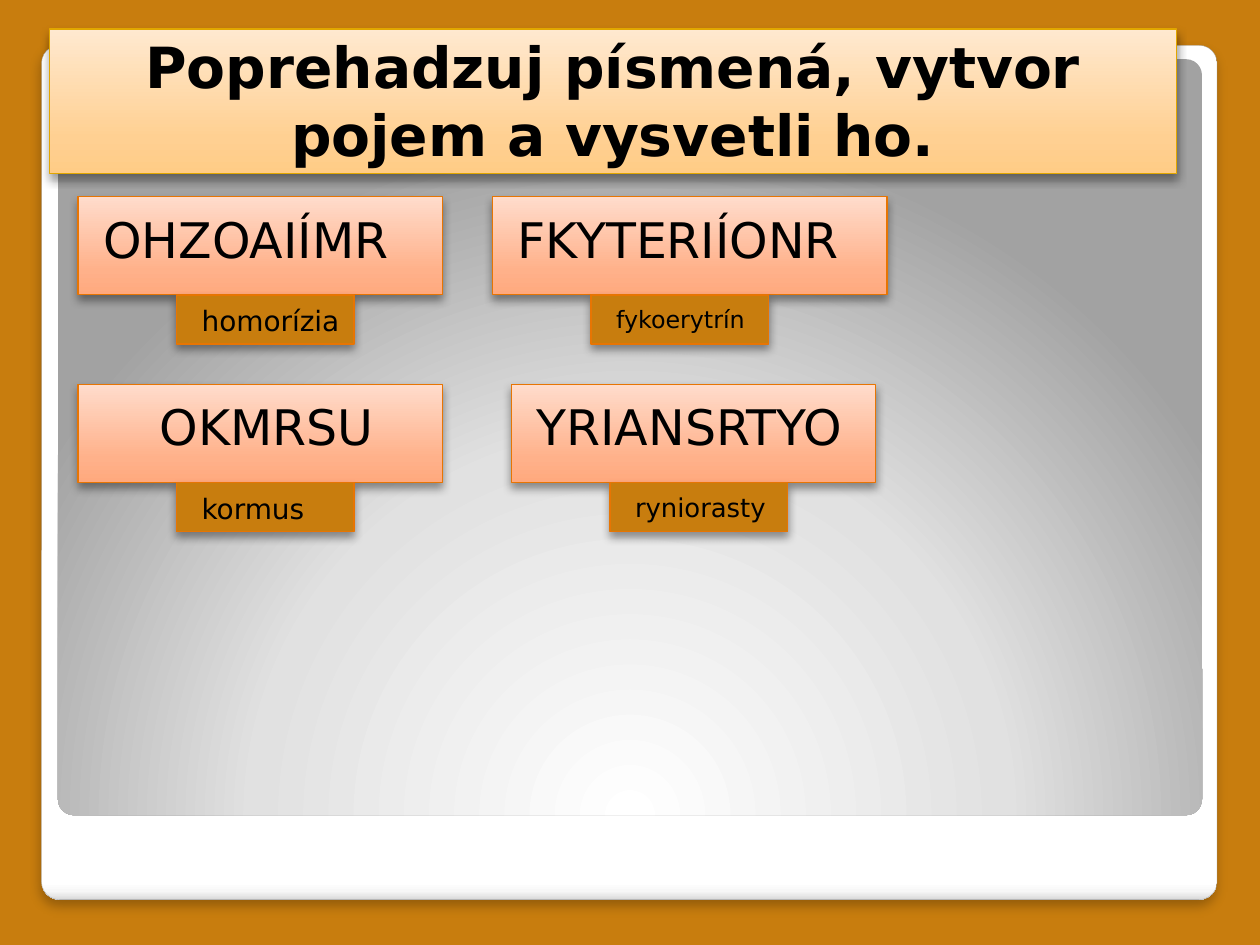
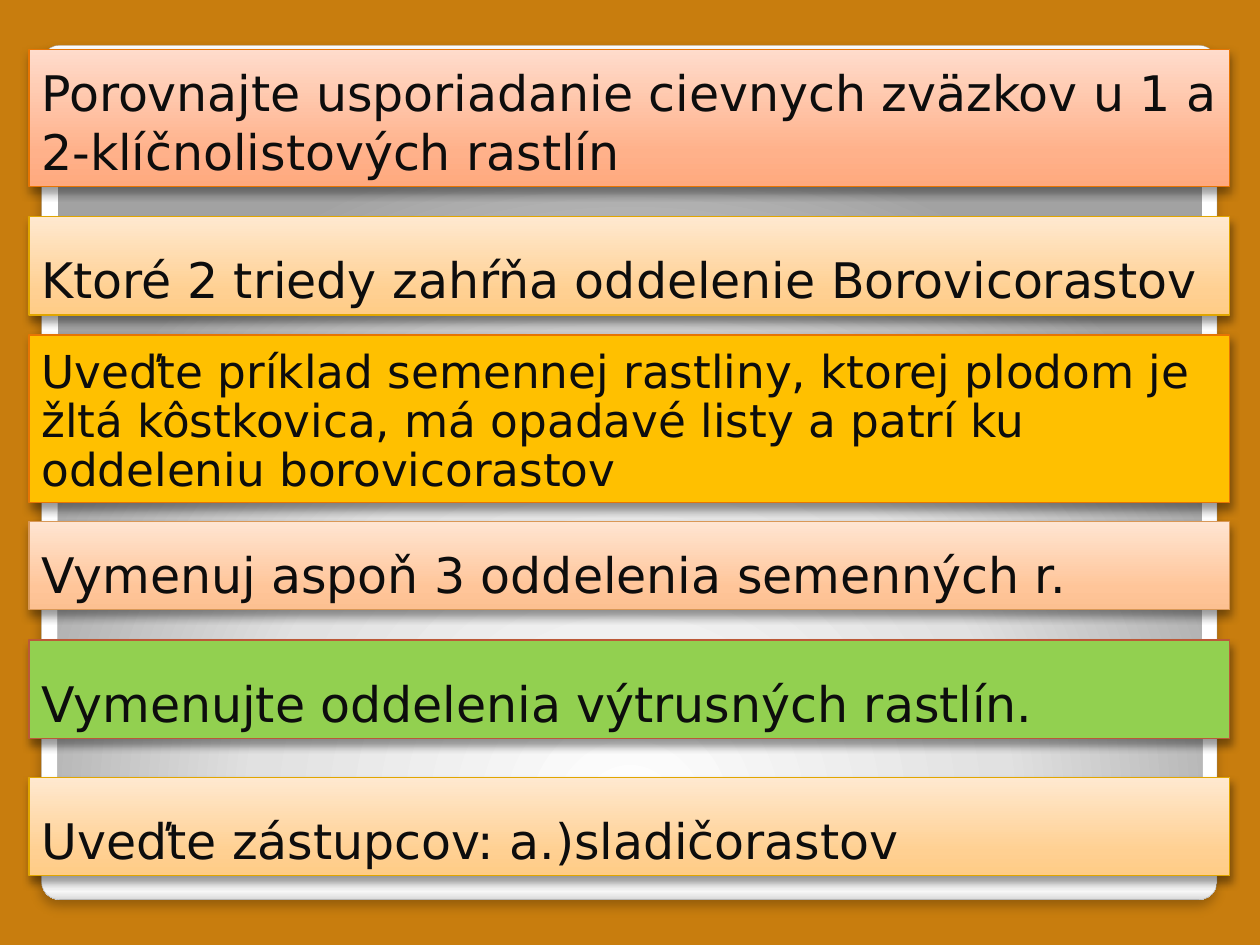
import lxml.etree
import pptx
import pptx.dml.color
import pptx.enum.shapes
import pptx.enum.text
import pptx.oxml.ns
import pptx.util

Inches = pptx.util.Inches
Pt = pptx.util.Pt
qn = pptx.oxml.ns.qn
SHAPE = pptx.enum.shapes.MSO_SHAPE
ANCHOR = pptx.enum.text.MSO_ANCHOR
ALIGN = pptx.enum.text.PP_ALIGN

OCHRE = "C87D0E"
ORANGE = "E77503"
GOLD = "E1A600"
BLACK = "000000"
INK = "0D0D0D"
AMBER_FADE = [(0, "FFCC86"), (25, "FFD092"), (100, "FFE9D0")]
CORAL_FADE = [(0, "FFA97E"), (25, "FFB18A"), (100, "FFDCCC")]
PEACH_FADE = [(0, "FCC091"), (25, "FFC599"), (100, "FFE5D2")]
FRAME_FADE = [(0, "FFFFFF"), (98, "FFFFFF"), (99, "F7F7F7"), (100, "DADADA")]
GLOW_FADE = [(0, "FFFFFF"), (55, "E1E1E1"), (100, "A2A2A2")]
GLOW_CENTRE = {"l": 50, "t": 175, "r": 50, "b": -75}
BOX_SHADOW = (40, 5.2, 3)
FRAME_SHADOW = (25, 6, 4)
CARD_INSETS = (0.2, 0.1, 0.1, 0.05)
BAND_INSETS = (0.1, 0.05, 0.1, 0.05)

CARD_HEIGHT = 0.78
ANSWER_INDENT = 0.78
ANSWER_SIZE = (1.41, 0.39)
CARDS = [
    (0.62, 1.56, 2.89, "OHZOAIÍMR", ALIGN.LEFT, "homorízia", 16),
    (3.91, 1.56, 3.13, "FKYTERIÍONR", ALIGN.LEFT, "fykoerytrín", 13.6),
    (0.62, 3.05, 2.89, "OKMRSU", ALIGN.CENTER, "kormus", 16),
    (4.06, 3.05, 2.89, "YRIANSRTYO", ALIGN.LEFT, "ryniorasty", 14.8),
]
QUESTIONS = [
    (0.39, 1.09, CORAL_FADE, ORANGE, 28, 1,
     "Porovnajte usporiadanie cievnych zväzkov u 1 a 2-klíčnolistových rastlín"),
    (1.72, 0.78, AMBER_FADE, GOLD, 28, 1,
     "Ktoré 2 triedy zahŕňa oddelenie Borovicorastov"),
    (2.66, 1.33, "FFC000", ORANGE, 25.9, 0.9,
     "Uveďte príklad semennej rastliny, ktorej plodom je žltá kôstkovica, "
     "má opadavé listy a patrí ku oddeleniu borovicorastov"),
    (4.14, 0.7, PEACH_FADE, "D99857", 28, 1,
     "Vymenuj aspoň 3 oddelenia semenných r."),
    (5.08, 0.78, "92D050", "BB5938", 28, 1,
     "Vymenujte oddelenia výtrusných rastlín."),
    (6.17, 0.78, AMBER_FADE, GOLD, 28, 1,
     "Uveďte zástupcov: a.)sladičorastov"),
]


def rgb(value):
    return pptx.dml.color.RGBColor.from_string(value)


def add_xml(parent, tag, **attrs):
    values = {key: str(value) for key, value in attrs.items()}
    return lxml.etree.SubElement(parent, qn(tag), values)


def set_all(target, values):
    for key, value in values.items():
        setattr(target, key, value)


class Deck:
    font = "DejaVu Sans"

    def __init__(self):
        self.prs = pptx.Presentation()
        self.prs.slide_width = Inches(10)
        self.prs.slide_height = Inches(7.5)

    def new_slide(self):
        self.s = self.prs.slides.add_slide(self.prs.slide_layouts[6])
        fill = self.s.background.fill
        fill.solid()
        fill.fore_color.rgb = rgb(OCHRE)
        self.panel((0.33, 0.36, 9.33, 6.78), FRAME_FADE, "A4A4A4", 0.16, FRAME_SHADOW, angle=90)
        self.panel((0.46, 0.47, 9.08, 6), GLOW_FADE, centre=GLOW_CENTRE)

    def gradient(self, sp, stops, angle, centre):
        sp.fill.gradient()
        grad = sp._element.spPr.find(qn("a:gradFill"))
        for child in list(grad):
            grad.remove(child)
        stop_list = add_xml(grad, "a:gsLst")
        for position, colour in stops:
            stop = add_xml(stop_list, "a:gs", pos=position * 1000)
            add_xml(stop, "a:srgbClr", val=colour)
        if centre:
            circle = add_xml(grad, "a:path", path="circle")
            sides = {side: share * 1000 for side, share in centre.items()}
            add_xml(circle, "a:fillToRect", **sides)
        else:
            add_xml(grad, "a:lin", ang=angle * 60000, scaled=0)

    def drop_shadow(self, sp, opacity, blur, distance):
        effects = sp._element.spPr.find(qn("a:effectLst"))
        outer = add_xml(effects, "a:outerShdw", blurRad=Pt(blur), dist=Pt(distance),
                        dir=90 * 60000, algn="t", rotWithShape=0)
        colour = add_xml(outer, "a:srgbClr", val=BLACK)
        add_xml(colour, "a:alpha", val=opacity * 1000)

    def shape(self, kind, place, fill, line=None, width=0.75, shadow=None, angle=270, centre=None):
        sp = self.s.shapes.add_shape(kind, *map(Inches, place))
        if isinstance(fill, str):
            sp.fill.solid()
            sp.fill.fore_color.rgb = rgb(fill)
        else:
            self.gradient(sp, fill, angle, centre)
        if line:
            sp.line.color.rgb = rgb(line)
            sp.line.width = Pt(width)
        else:
            sp.line.fill.background()
        sp.shadow.inherit = False
        if shadow:
            self.drop_shadow(sp, *shadow)
        return sp

    def panel(self, place, fill, *style, **options):
        sp = self.shape(SHAPE.ROUNDED_RECTANGLE, place, fill, *style, **options)
        sp.adjustments[0] = 0.021

    def box(self, place, fill, line, text, size, colour=BLACK, bold=False, align=ALIGN.LEFT,
            anchor=ANCHOR.BOTTOM, insets=BAND_INSETS, spacing=1):
        sp = self.shape(SHAPE.RECTANGLE, place, fill, line, shadow=BOX_SHADOW)
        tf = sp.text_frame
        left, top, right, bottom = map(Inches, insets)
        set_all(tf, {"word_wrap": True, "vertical_anchor": anchor, "margin_left": left,
                     "margin_top": top, "margin_right": right, "margin_bottom": bottom})
        p = tf.paragraphs[0]
        set_all(p, {"alignment": align, "line_spacing": spacing})
        r = p.add_run()
        r.text = text
        set_all(r.font, {"name": self.font, "size": Pt(size), "bold": bold})
        r.font.color.rgb = rgb(colour)

    def card(self, left, top, width, letters, align, answer, answer_size):
        style = {"anchor": ANCHOR.TOP, "insets": CARD_INSETS}
        self.box((left, top, width, CARD_HEIGHT), CORAL_FADE, ORANGE, letters, 28,
                 align=align, **style)
        self.box((left + ANSWER_INDENT, top + CARD_HEIGHT, *ANSWER_SIZE), OCHRE, ORANGE,
                 answer, answer_size, spacing=0.9, **style)

    def question(self, top, height, fill, line, size, spacing, text):
        self.box((0.23, top, 9.53, height), fill, line, text, size, INK, spacing=spacing)


def main():
    deck = Deck()
    deck.new_slide()
    deck.box((0.39, 0.23, 8.95, 1.15), AMBER_FADE, GOLD,
             "Poprehadzuj písmená, vytvor pojem a vysvetli ho.", 32.4,
             bold=True, align=ALIGN.CENTER)
    for card in CARDS:
        deck.card(*card)

    deck.new_slide()
    for question in QUESTIONS:
        deck.question(*question)

    deck.prs.save("out.pptx")


if __name__ == "__main__":
    main()
